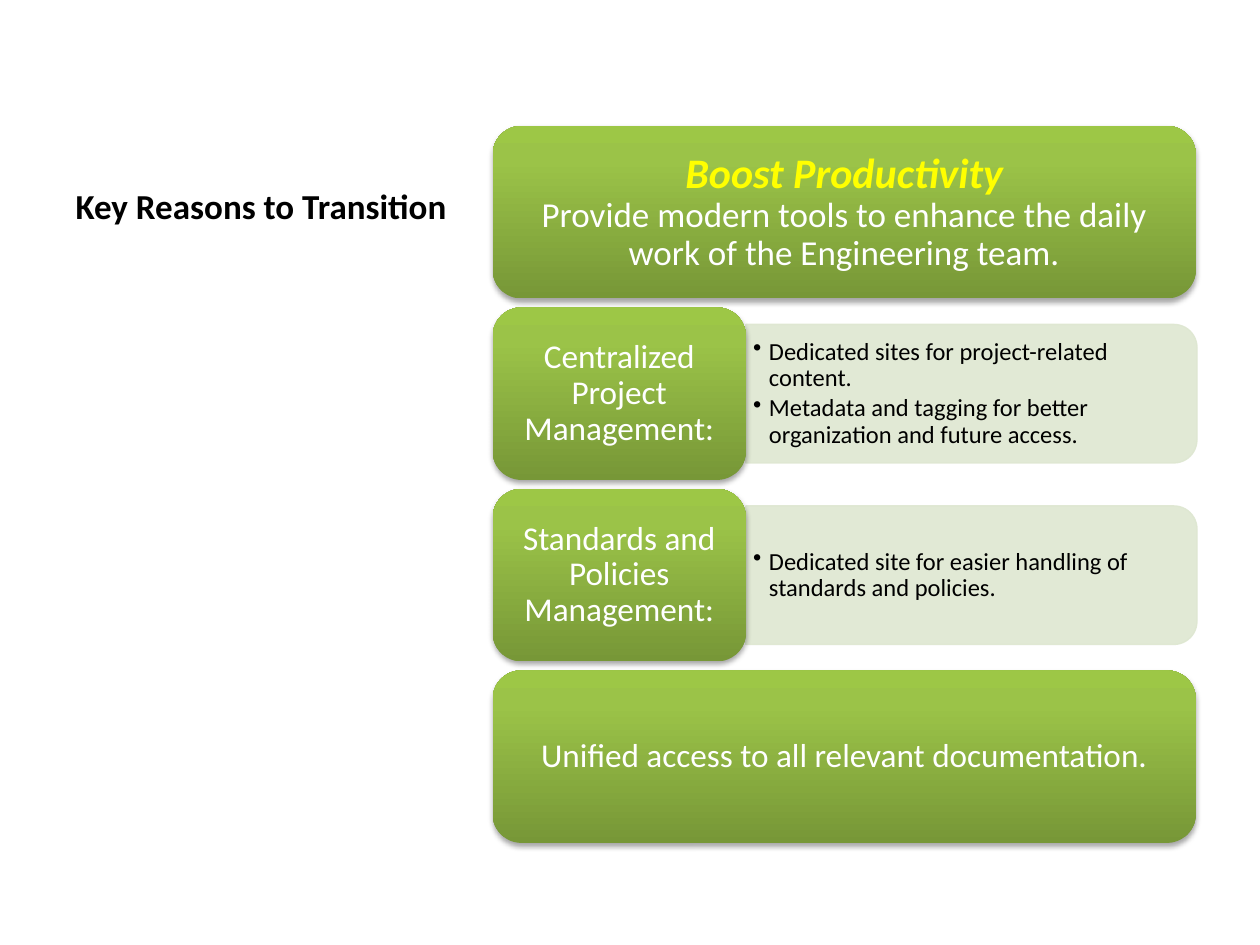
from copy import deepcopy

from lxml.etree import SubElement
from pptx import Presentation
from pptx.dml.color import RGBColor
from pptx.enum.shapes import MSO_SHAPE as Shape
from pptx.enum.text import MSO_ANCHOR as Anchor, PP_ALIGN as Align
from pptx.oxml.ns import qn
from pptx.util import Pt

COLORS = {
    "text": "000000",
    "card_text": "FFFFFF",
    "headline": "FFFF00",
    "panel": "DEE7D1",
    "shadow": "000000",
}
GRADIENT = [(0, "779737"), (0.8, "9BC348"), (1, "9DC746")]

LEFT, TOP = 281.5, 72
CARD_WIDTH, LABEL_WIDTH, CARD_HEIGHT = 401.8, 144.7, 98.6
ROW_STEP = 103.7
PANEL_WIDTH, PANEL_HEIGHT = 257.8, 79.2

# Each row: card runs as (text, size, color, emphasis), then bullets
ROWS = [
    ([("Boost Productivity", 24, "headline", True),
      ("Provide modern tools to enhance the daily work of the Engineering team.",
       20, "card_text", False)], []),
    ([("Centralized Project Management:", 19, "card_text", False)],
     ["Dedicated sites for project-related content.",
      "Metadata and tagging for better organization and future access."]),
    ([("Standards and Policies Management:", 19, "card_text", False)],
     ["Dedicated site for easier handling of standards and policies."]),
    ([("Unified access to all relevant documentation.", 19, "card_text", False)], []),
]


def style_font(font, size, color, bold=False, italic=False):
    font.name, font.size = "Calibri", Pt(size)
    font.bold, font.italic = bold, italic
    font.color.rgb = RGBColor.from_string(COLORS[color])


def set_frame(text_frame, horizontal, vertical):
    """Wrap the text, centre it vertically and set its margins."""
    text_frame.word_wrap = True
    text_frame.vertical_anchor = Anchor.MIDDLE
    text_frame.margin_left = text_frame.margin_right = Pt(horizontal)
    text_frame.margin_top = text_frame.margin_bottom = Pt(vertical)


presentation = Presentation()
presentation.slide_width, presentation.slide_height = Pt(720), Pt(540)
slide = presentation.slides.add_slide(presentation.slide_layouts[5])
shapes = slide.shapes

title = shapes.title
title.left, title.top, title.width, title.height = Pt(36), Pt(41.8), Pt(236.9), Pt(91.4)
title.text_frame.text = "Key Reasons to Transition"
title.text_frame.vertical_anchor = Anchor.BOTTOM
title_paragraph = title.text_frame.paragraphs[0]
title_paragraph.alignment = Align.LEFT
style_font(title_paragraph.runs[0].font, 20, "text", bold=True)

for row, (card_runs, bullets) in enumerate(ROWS):
    top = TOP + row * ROW_STEP

    if bullets:
        # The panel is an upright shape turned a quarter, so its sides swap
        panel_left = LEFT + LABEL_WIDTH
        panel = shapes.add_shape(
            Shape.ROUND_2_SAME_RECTANGLE,
            Pt(panel_left + (PANEL_WIDTH - PANEL_HEIGHT) / 2),
            Pt(top + (CARD_HEIGHT - PANEL_WIDTH) / 2),
            Pt(PANEL_HEIGHT), Pt(PANEL_WIDTH))
        panel.rotation = 90
        panel.shadow.inherit = False
        panel.fill.solid()
        panel.line.width = Pt(0.75)
        for fill in (panel.fill, panel.line.fill):
            fill.solid()
            fill.fore_color.rgb = RGBColor.from_string(COLORS["panel"])
        for color in panel._element.spPr.iter(qn("a:srgbClr")):
            SubElement(color, qn("a:alpha"), val="90000")

        box = shapes.add_textbox(Pt(panel_left), Pt(top + 13.7), Pt(253.4), Pt(71.3))
        set_frame(box.text_frame, 4.2, 2.1)
        box.text_frame.text = "\n".join(bullets)
        for paragraph in box.text_frame.paragraphs:
            properties = paragraph._p.get_or_add_pPr()
            properties.set("marL", str(Pt(9)))
            properties.set("indent", str(-Pt(9)))
            SubElement(properties, qn("a:buChar"), char="•")
            paragraph.line_spacing = 0.9
            paragraph.space_after = Pt(2)
            style_font(paragraph.runs[0].font, 14, "text")

    card = shapes.add_shape(
        Shape.ROUNDED_RECTANGLE, Pt(LEFT), Pt(top),
        Pt(LABEL_WIDTH if bullets else CARD_WIDTH), Pt(CARD_HEIGHT))
    card.line.fill.background()
    card.fill.gradient()
    card.fill.gradient_angle = 90
    properties = card._element.spPr
    stop_list = properties.find(".//" + qn("a:gsLst"))
    stop_list.append(deepcopy(stop_list[-1]))
    for stop, (position, color) in zip(card.fill.gradient_stops, GRADIENT):
        stop.position = position
        stop.color.rgb = RGBColor.from_string(color)

    card.shadow.inherit = False
    shadow = SubElement(properties.find(qn("a:effectLst")), qn("a:outerShdw"),
                        blurRad=str(Pt(3.1)), dist=str(Pt(1.8)), dir="5400000",
                        rotWithShape="0")
    shadow_color = SubElement(shadow, qn("a:srgbClr"), val=COLORS["shadow"])
    SubElement(shadow_color, qn("a:alpha"), val="35000")

    set_frame(card.text_frame, 5.7, 2.9)
    paragraph = card.text_frame.paragraphs[0]
    paragraph.alignment = Align.CENTER
    paragraph.line_spacing = 0.9
    for index, (text, size, color, emphasis) in enumerate(card_runs):
        if index:
            paragraph.add_line_break()
        run = paragraph.add_run()
        run.text = text
        style_font(run.font, size, color, bold=emphasis, italic=emphasis)

presentation.save("out.pptx")
